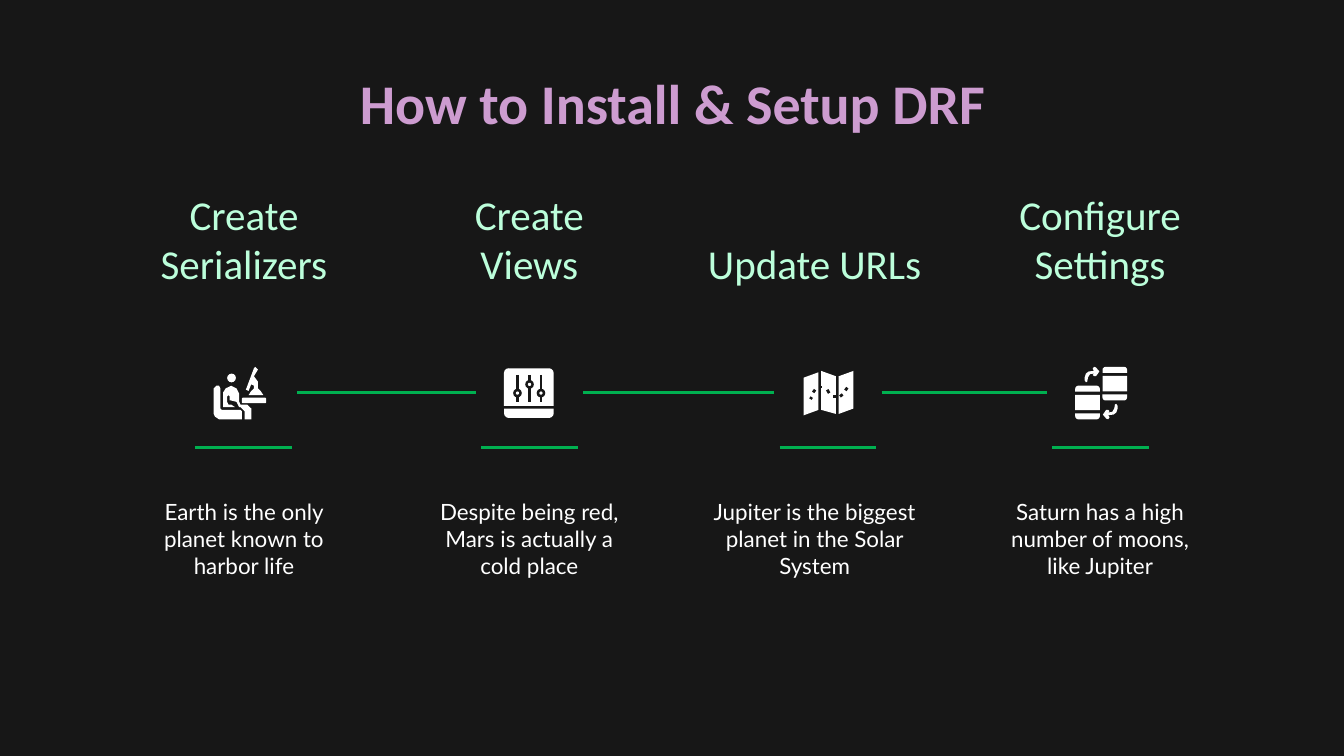
from lxml import etree
from pptx import Presentation
from pptx.dml.color import RGBColor
from pptx.enum.shapes import MSO_CONNECTOR, MSO_SHAPE as Shape
from pptx.enum.text import MSO_ANCHOR as Anchor, MSO_AUTO_SIZE, PP_ALIGN
from pptx.oxml.ns import qn
from pptx.util import Inches, Pt

BACKGROUND = RGBColor(0x17, 0x17, 0x17)
WHITE = RGBColor(0xFF, 0xFF, 0xFF)
GREEN = RGBColor(0x00, 0xB0, 0x50)
MINT = RGBColor(0xBC, 0xFF, 0xDB)
PINK = RGBColor(0xCD, 0x9C, 0xD0)
SKY = RGBColor(0x9C, 0xCA, 0xED)

TITLE = "How to Install & Setup DRF"

# Icon parts are in hundredths of an inch from the icon's corner:
# ("polygon", points), ("dash", x1, y1, x2, y2) or (shape, left, top, width, height).
MICROSCOPE_DESK = [
    ("polygon", [(31, 0), (33, 2), (30, 7), (33, 11), (33, 16), (35, 18), (37, 21),
                 (26, 21), (28, 18), (30, 16), (30, 14), (28, 13), (26, 18),
                 (24, 17), (30, 1)]),
    ("polygon", [(2, 14), (4, 14), (5, 16), (5, 31), (6, 32), (20, 32), (21, 33),
                 (21, 39), (4, 39), (1, 37), (0, 35), (0, 16)]),
    ("polygon", [(13, 14), (17, 16), (19, 20), (19, 26), (20, 28), (25, 28), (28, 31),
                 (28, 39), (23, 39), (23, 33), (20, 30), (19, 30), (17, 26), (13, 25),
                 (12, 25), (12, 22), (11, 21), (10, 22), (10, 26), (11, 28), (13, 28),
                 (16, 30), (7, 30), (7, 19), (9, 16)]),
    (Shape.OVAL, 10, 5, 6.5, 6.5),
    (Shape.ROUNDED_RECTANGLE, 21, 23, 18, 4),
]


def slider(x, y):
    return [
        ("dash", x, 5, x, 25),
        ("hole", x - 3.2, y - 3.2, 6.4, 6.4),
        (Shape.OVAL, x - 1.2, y - 1.2, 2.4, 2.4),
    ]


CONTROL_PANEL = [
    ("cap", 0, 0, 37, 28),
    ("base", 0, 30, 37, 7),
    *slider(10, 18.5), *slider(19, 12), *slider(27.5, 18.5),
]

FOLDED_MAP = [
    ("polygon", [(0, 5), (11, 1), (11, 29), (0, 33)]),
    ("polygon", [(13, 0), (24, 4), (24, 32), (13, 29)]),
    ("polygon", [(26, 4), (37, 0), (37, 28), (26, 32)]),
    ("dash", 8.5, 14, 7, 16), ("dash", 6, 19.5, 5, 21), ("dash", 13, 12, 14, 12),
    ("dash", 17.5, 14, 19, 16.5), ("dash", 22, 19, 24, 19),
    ("dash", 32.5, 12.5, 31, 14.5), ("dash", 29, 17.5, 27, 19),
]


def jar(left, top):
    return [
        ("cap", left, top, 18.3, 4.5),
        (Shape.RECTANGLE, left, top + 6.8, 18.3, 11.4),
        ("base", left, top + 20.5, 18.3, 4.5),
    ]


ARROW = [(7, 10), (7, 8), (8, 5), (10, 3.5), (14, 3), (13, 1.5), (14, 0), (15.5, 0.5),
         (18, 3.5), (15.5, 7), (14, 7), (13, 6), (14, 5), (11, 5.5), (9.5, 8),
         (9, 11), (8, 11.5)]
SWAPPED_JARS = [
    *jar(20.3, 0), *jar(0, 14),
    ("polygon", ARROW),
    ("polygon", [(38.6 - x, 39 - y) for x, y in ARROW]),
]

# heading, description, left end of the underline, icon corner, icon
STEPS = [
    ("Create Serializers", "Earth is the only planet known to harbor life",
     1.45, (1.59, 2.73), MICROSCOPE_DESK),
    ("Create Views", "Despite being red, Mars is actually a cold place",
     3.58, (3.75, 2.74), CONTROL_PANEL),
    ("Update URLs", "Jupiter is the biggest planet in the Solar System",
     5.80, (5.98, 2.76), FOLDED_MAP),
    ("Configure Settings", "Saturn has a high number of moons, like Jupiter",
     7.83, (8.00, 2.73), SWAPPED_JARS),
]
COLUMN_LEFT, COLUMN_RIGHT, COLUMN_WIDTH = 0.92, 7.29, 1.79
COLUMN_STEP = (COLUMN_RIGHT - COLUMN_LEFT) / (len(STEPS) - 1)
UNDERLINE_WIDTH, UNDERLINE_TOP = 0.72, 3.33
LINK_TOP, LINK_GAP = 2.92, 0.04

TITLE_FORMAT = {"name": "Calibri", "size": Pt(30), "bold": True}
HEADING_FORMAT = {"name": "Calibri", "size": Pt(22)}
BODY_FORMAT = {"name": "Lato", "size": Pt(12)}


def write(shape, text, font_format, colors, anchor=Anchor.TOP):
    """Fill a text shape; two colors make a gradient, one makes a solid."""
    frame = shape.text_frame
    frame_format = {"word_wrap": True, "auto_size": MSO_AUTO_SIZE.NONE,
                    "vertical_anchor": anchor}
    for side in ("left", "top", "right", "bottom"):
        frame_format[f"margin_{side}"] = Inches(0.1)
    for name, value in frame_format.items():
        setattr(frame, name, value)
    paragraph = frame.paragraphs[0]
    paragraph.alignment = PP_ALIGN.CENTER
    run = paragraph.add_run()
    run.text = text
    for name, value in font_format.items():
        setattr(run.font, name, value)
    if len(colors) == 1:
        run.font.color.rgb = colors[0]
        return
    run.font.fill.gradient()
    run.font.fill.gradient_angle = 0
    for stop, color in zip(run.font.fill.gradient_stops, colors):
        stop.color.rgb = color


def add_text(slide, box, *content):
    write(slide.shapes.add_textbox(*map(Inches, box)), *content)


def add_line(shapes, x1, y1, x2, y2, color=GREEN):
    line = shapes.add_connector(MSO_CONNECTOR.STRAIGHT, *map(Inches, (x1, y1, x2, y2)))
    line.line.color.rgb = color
    line.line.width = Pt(1.5)
    etree.SubElement(line._element.spPr, qn("a:effectLst"))


def add_icon(slide, corner, parts):
    shapes = slide.shapes.add_group_shape().shapes
    left, top = corner

    def place(x, y):
        return left + x / 100, top + y / 100

    for kind, *values in parts:
        if kind == "dash":
            x1, y1, x2, y2 = values
            add_line(shapes, *place(x1, y1), *place(x2, y2), BACKGROUND)
            continue
        if kind == "polygon":
            points = [tuple(map(Inches, place(x, y))) for x, y in values[0]]
            builder = shapes.build_freeform(*points[0])
            builder.add_line_segments(points[1:])
            shape = builder.convert_to_shape()
        else:
            x, y, width, height = values
            preset = {"cap": Shape.ROUND_2_SAME_RECTANGLE, "hole": Shape.OVAL,
                      "base": Shape.ROUND_2_SAME_RECTANGLE}.get(kind, kind)
            shape = shapes.add_shape(preset, *map(Inches, place(x, y)),
                                     Inches(width / 100), Inches(height / 100))
            if kind in ("cap", "base"):
                shape.adjustments[0] = min(0.5, 3.5 / height)
                shape.rotation = 180 if kind == "base" else 0
        shape.shadow.inherit = False
        shape.fill.solid()
        shape.fill.fore_color.rgb = BACKGROUND if kind == "hole" else WHITE
        shape.line.fill.background()


def main():
    presentation = Presentation()
    presentation.slide_width = Inches(10)
    presentation.slide_height = presentation.slide_width * 9 // 16
    slide = presentation.slides.add_slide(presentation.slide_layouts[5])
    slide.background.fill.solid()
    slide.background.fill.fore_color.rgb = BACKGROUND

    title = slide.shapes.title
    title.left, title.top, title.width, title.height = map(Inches, (0.79, 0.41, 8.43, 0.63))
    write(title, TITLE, TITLE_FORMAT, (PINK, SKY))

    for index, (heading, body, underline, corner, icon) in enumerate(STEPS):
        left = COLUMN_LEFT + index * COLUMN_STEP
        add_text(slide, (left, 1.72, COLUMN_WIDTH, 0.52), heading, HEADING_FORMAT,
                 (MINT, SKY), Anchor.BOTTOM)
        add_text(slide, (left, 3.61, COLUMN_WIDTH, 0.89), body, BODY_FORMAT, (WHITE,))
        end = underline + UNDERLINE_WIDTH
        add_line(slide.shapes, underline, UNDERLINE_TOP, end, UNDERLINE_TOP)
        if index + 1 < len(STEPS):
            next_underline = STEPS[index + 1][2]
            add_line(slide.shapes, end + LINK_GAP, LINK_TOP,
                     next_underline - LINK_GAP, LINK_TOP)
        add_icon(slide, corner, icon)

    presentation.save("out.pptx")


if __name__ == "__main__":
    main()
